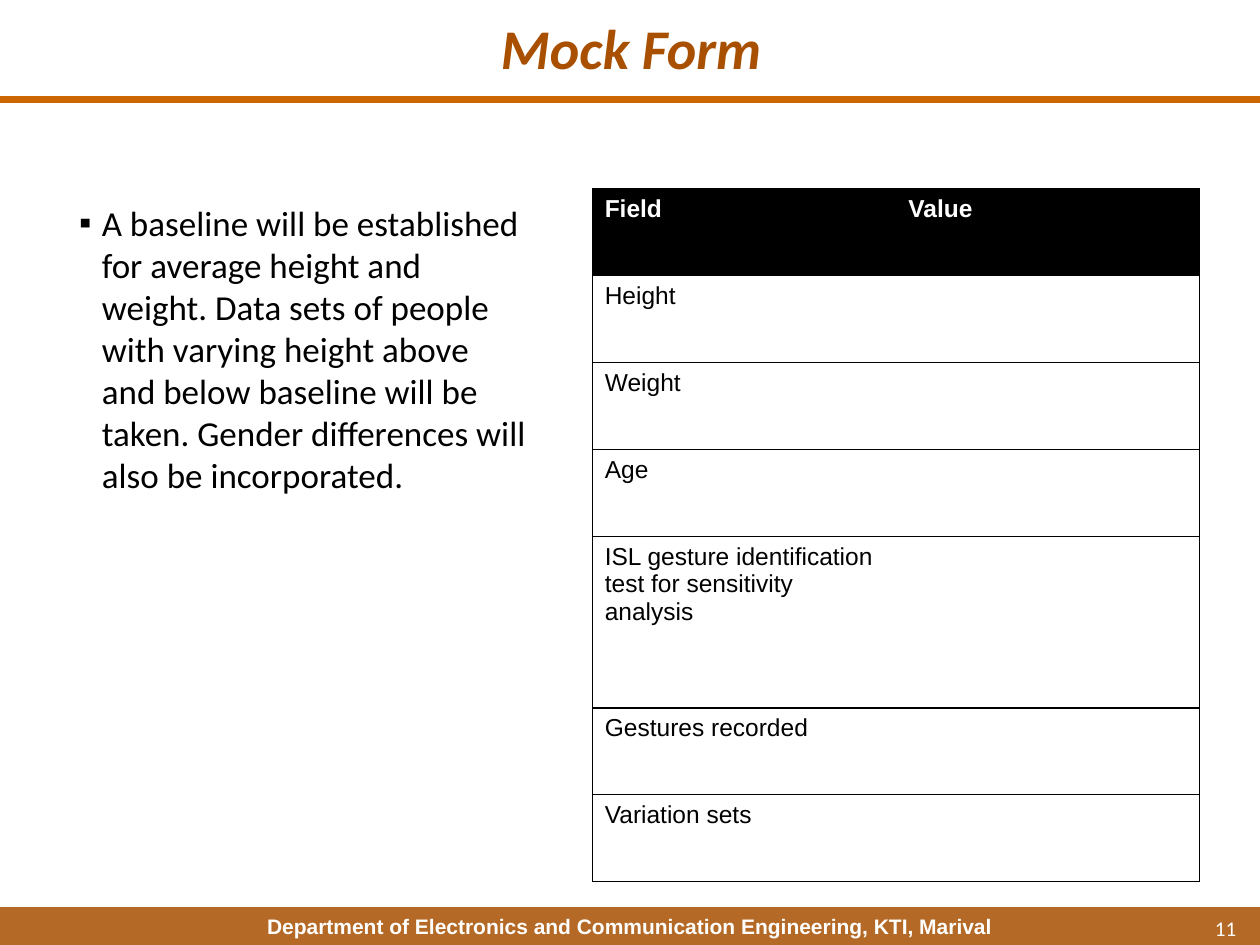
import pptx
import pptx.util
import pptx.dml.color
import pptx.enum.text
import pptx.enum.shapes
import pptx.oxml
import pptx.oxml.ns

Inches = pptx.util.Inches
Pt = pptx.util.Pt
Align = pptx.enum.text.PP_ALIGN
Anchor = pptx.enum.text.MSO_ANCHOR
NS = pptx.oxml.ns.nsdecls("a")
COLOR = {"rust": "A85000", "orange": "CC6600", "black": "000000", "white": "FFFFFF"}
FOOTER = "Department of Electronics and Communication Engineering, KTI, Marival"
NOTE = ("A baseline will be established for average height and weight. "
        "Data sets of people with varying height above and below baseline "
        "will be taken. Gender differences will also be incorporated.")
FIELDS = ["Height", "Weight", "Age",
          "ISL gesture identification test for sensitivity analysis",
          "Gestures recorded", "Variation sets"]


def rgb(name):
    return pptx.dml.color.RGBColor.from_string(COLOR[name])


def add_xml(parent, text):
    parent.append(pptx.oxml.parse_xml(text))


def write(frame, text, size=14, font="Calibri", color="black", bold=False,
          italic=False, align=Align.LEFT, before=0):
    para = frame.paragraphs[0]
    para.alignment = align
    para.space_before = Pt(before)
    para.font.size = Pt(size)
    if text:
        run = para.add_run()
        run.text = text
        run.font.size = Pt(size)
        run.font.name = font
        run.font.bold = bold
        run.font.italic = italic
        run.font.color.rgb = rgb(color)
    return para


def set_frame(frame, anchor=Anchor.TOP, pad=0.05):
    frame.word_wrap = True
    frame.auto_size = pptx.enum.text.MSO_AUTO_SIZE.NONE
    frame.vertical_anchor = anchor
    frame.margin_left = frame.margin_right = Inches(0.1)
    frame.margin_top = frame.margin_bottom = Inches(pad)


def add_text(slide, box, text, anchor=Anchor.TOP, pad=0.05, **style):
    frame = slide.shapes.add_textbox(*map(Inches, box)).text_frame
    set_frame(frame, anchor, pad)
    return write(frame, text, **style)


def add_title(slide, text):
    title = slide.shapes.title
    title.left, title.top, title.width, title.height = map(Inches, (0.51, -0.08, 9, 0.9))
    set_frame(title.text_frame, Anchor.MIDDLE, 0.1)
    write(title.text_frame, text, size=32, color="rust", bold=True,
          italic=True, align=Align.CENTER)


def add_bar(slide, box):
    bar = slide.shapes.add_shape(pptx.enum.shapes.MSO_SHAPE.RECTANGLE, *map(Inches, box))
    bar.shadow.inherit = False
    bar.fill.solid()
    bar.fill.fore_color.rgb = rgb("rust")
    bar.line.fill.background()
    tint = bar.fill._xPr.find(".//" + pptx.oxml.ns.qn("a:srgbClr"))
    add_xml(tint, f'<a:alpha {NS} val="85000"/>')


def add_rule(slide, ends):
    rule = slide.shapes.add_connector(
        pptx.enum.shapes.MSO_CONNECTOR.STRAIGHT, *map(Inches, ends))
    rule.line.color.rgb = rgb("orange")
    rule.line.width = Pt(4.5)
    add_xml(rule._element.spPr, f"<a:effectLst {NS}/>")


def add_bullet(para, mark):
    props = para._p.get_or_add_pPr()
    props.set("marL", str(Inches(0.38)))
    props.set("indent", str(Inches(-0.18)))
    add_xml(props, f'<a:buClr {NS}><a:srgbClr val="{COLOR["black"]}"/></a:buClr>')
    add_xml(props, f'<a:buFont {NS} typeface="Arial"/>')
    add_xml(props, f'<a:buChar {NS} char="{mark}"/>')


def set_edges(cell, shown):
    props = cell._tc.get_or_add_tcPr()
    solid = f'<a:solidFill><a:srgbClr val="{COLOR["black"]}"/></a:solidFill>'
    for side in "LRTB":
        fill = solid if side in shown else "<a:noFill/>"
        add_xml(props, f'<a:ln{side} {NS} w="{Pt(0.75)}">{fill}</a:ln{side}>')


def add_form(slide, box):
    rows = [("Field", "Value")] + [(field, "") for field in FIELDS]
    table = slide.shapes.add_table(len(rows), 2, *map(Inches, box)).table
    table.first_row = table.horz_banding = False
    for r, row in enumerate(rows):
        table.rows[r].height = Inches(1.36 if r == 4 else 0.69)
        for c, text in enumerate(row):
            cell = table.cell(r, c)
            head = r == 0
            set_edges(cell, "TB" + "LR"[c])
            if head:
                cell.fill.solid()
                cell.fill.fore_color.rgb = rgb("black")
            else:
                cell.fill.background()
            write(cell.text_frame, text, font="Arial", bold=head,
                  color="white" if head else "black")


def main():
    deck = pptx.Presentation()
    deck.slide_width, deck.slide_height = Inches(10), Inches(7.5)
    slide = deck.slides.add_slide(deck.slide_layouts[5])
    foot = (0, 7.2, 10, 0.3)
    add_bar(slide, foot)
    add_text(slide, foot, FOOTER, size=12, font="Arial", color="white",
             bold=True, align=Align.CENTER)
    add_rule(slide, (0, 0.79, 10.03, 0.79))
    add_title(slide, "Mock Form")
    note = add_text(slide, (0.33, 1.5, 3.95, 4.95), NOTE, pad=0.1, size=20, before=5.6)
    add_bullet(note, "▪")
    add_text(slide, (7.58, 7.17, 2.33, 0.4), "11", anchor=Anchor.MIDDLE,
             size=12, color="white", align=Align.RIGHT)
    add_form(slide, (4.7, 1.5, 4.82, 5.5))
    deck.save("out.pptx")


if __name__ == "__main__":
    main()
